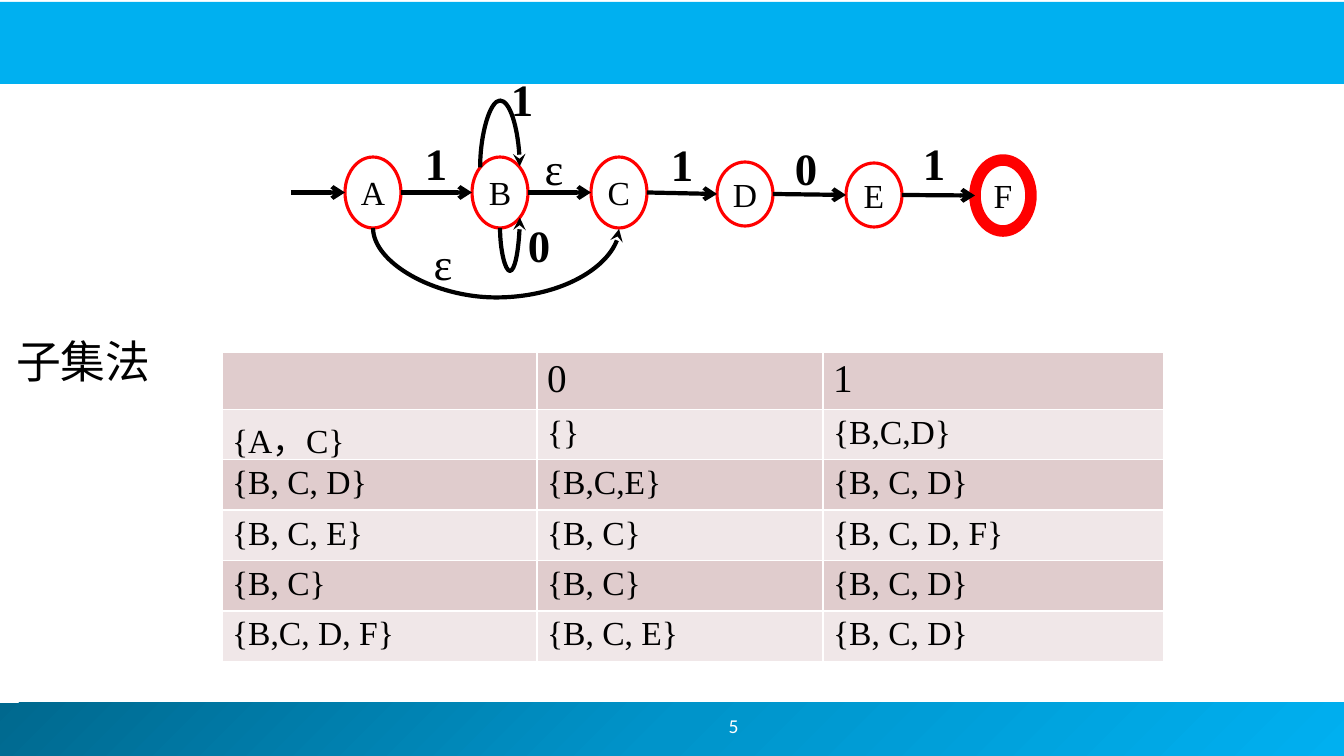
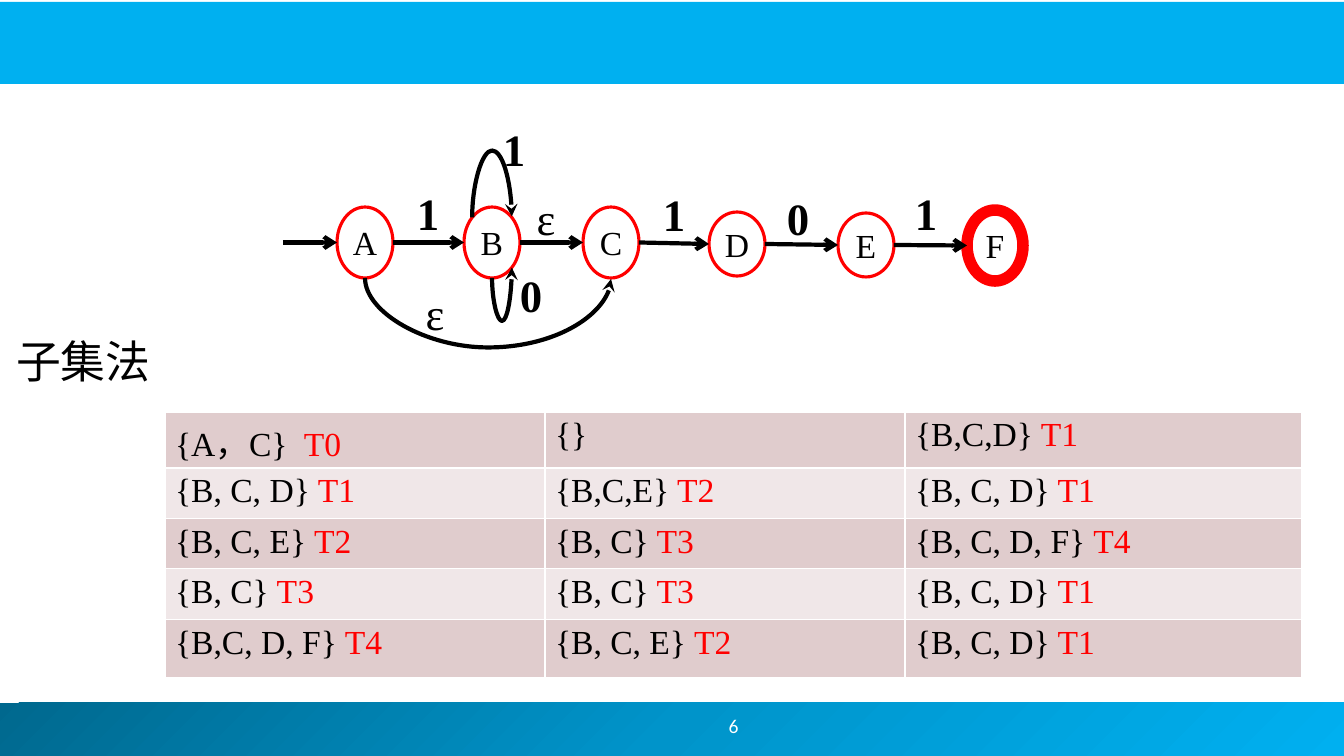
from copy import deepcopy
from math import cos, radians, sin

from lxml import etree
from pptx import Presentation
from pptx.dml.color import RGBColor
from pptx.enum.shapes import MSO_CONNECTOR, MSO_SHAPE
from pptx.enum.text import MSO_ANCHOR, PP_ALIGN
from pptx.oxml.ns import qn
from pptx.util import Emu, Pt

STRAIGHT, CURVE = MSO_CONNECTOR.STRAIGHT, MSO_CONNECTOR.CURVE
RECT, OVAL = MSO_SHAPE.RECTANGLE, MSO_SHAPE.OVAL
LEFT, CENTER = PP_ALIGN.LEFT, PP_ALIGN.CENTER
TOP, MIDDLE = MSO_ANCHOR.TOP, MSO_ANCHOR.MIDDLE

COLORS = {"band": "00B0F0", "band_mid": "0094CA", "band_dark": "00688E",
          "text": "000000", "white": "FFFFFF", "red": "FF0000",
          "row_dark": "E0CCCD", "row_light": "F0E7E8"}
SERIF = "Times New Roman"
TITLE = "子集法"

# Automaton: name, left, top, height, outline width
NODE_WIDTH = 56
NODES = [("A", 345, 157, 71, 2.25), ("B", 472, 157, 71, 2.25),
         ("C", 591, 157, 71, 2.25), ("D", 717, 162, 64, 2.25),
         ("E", 846, 163, 64, 2.25), ("F", 975, 160, 71, 8.25)]
# Ellipse sites run counterclockwise from the top
TOP_LEFT, WEST, BOTTOM, BOTTOM_RIGHT, EAST, TOP_RIGHT = 1, 2, 4, 5, 6, 7
ENTRY_LENGTH = 54
# Curved edges: from, site, to, site, height of the apex
CURVES = [("B", BOTTOM, "B", BOTTOM_RIGHT, 271),
          ("A", BOTTOM, "C", BOTTOM, 298),
          ("B", TOP_LEFT, "B", TOP_RIGHT, 100)]
# Edge labels: text, centre, top
LABELS = [("1", 522, 67), ("0", 539, 213), ("1", 436, 131), ("ε", 554, 136),
          ("1", 682, 132), ("0", 806, 136), ("1", 934, 131), ("ε", 443, 231)]
LABEL_SIZE = (42, 65)

SLIDES = [
    {"number": "5", "shift": (0, 0), "table_at": (222, 352),
     "cols": [315, 286, 341], "rows": [57, 50, 50, 50, 50, 50],
     "header": True,
     "cells": [["", "0", "1"],
               ["{A，C}", "{}", "{B,C,D}"],
               ["{B, C, D}", "{B,C,E}", "{B, C, D}"],
               ["{B, C, E}", "{B, C}", "{B, C, D, F}"],
               ["{B, C}", "{B, C}", "{B, C, D}"],
               ["{B,C, D, F}", "{B, C, E}", "{B, C, D}"]]},
    {"number": "6", "shift": (-8, 50), "table_at": (165, 412),
     "cols": [380, 360, 397], "rows": [56, 50, 50, 50, 58],
     "header": False,
     "cells": [["{A，C}  T0", "{}", "{B,C,D} T1"],
               ["{B, C, D} T1", "{B,C,E} T2", "{B, C, D} T1"],
               ["{B, C, E} T2", "{B, C} T3", "{B, C, D, F} T4"],
               ["{B, C} T3", "{B, C} T3", "{B, C, D} T1"],
               ["{B,C, D, F} T4", "{B, C, E} T2", "{B, C, D} T1"]]},
]


def px(n):
    return Emu(round(n * 914400 / 100.8))


def rgb(name):
    return RGBColor.from_string(COLORS[name])


def set_font(p, size, font=SERIF, color="text", bold=False):
    p.font.name, p.font.size, p.font.bold = font, Pt(size), bold
    p.font.color.rgb = rgb(color)


def write(sp, text, size, align=CENTER, anchor=TOP, wrap=False, **font):
    tf = sp.text_frame
    tf.word_wrap, tf.vertical_anchor = wrap, anchor
    p = tf.paragraphs[0]
    p.text, p.alignment = text, align
    set_font(p, size, **font)


def add_box(shapes, kind, *box):
    sp = shapes.add_shape(kind, *map(px, box))
    sp.shadow.inherit = False
    return sp


# Shared bands, moved from a slide to the master
def add_bands(prs, slide):
    footer = add_box(slide.shapes, RECT, -5, 703, 1350, 53)
    footer.fill.gradient()
    footer.fill.gradient_angle = 315
    gs_list = footer.element.find(".//" + qn("a:gsLst"))
    gs_list.insert(1, deepcopy(gs_list[0]))
    names = ("band_dark", "band_mid", "band")
    for i, (stop, name) in enumerate(zip(footer.fill.gradient_stops, names)):
        stop.position = i / 2
        stop.color.rgb = rgb(name)
    header = add_box(slide.shapes, RECT, -2, 2, 1347, 82)
    header.fill.solid()
    header.fill.fore_color.rgb = rgb("band")
    for sp in (header, footer):
        sp.line.fill.background()
        prs.slide_master.shapes.element.insert(2, sp.element)


# Automaton parts
def add_node(shapes, name, x, y, height, weight):
    sp = add_box(shapes, OVAL, x, y, NODE_WIDTH, height)
    sp.fill.background()
    sp.line.color.rgb = rgb("red")
    sp.line.width = Pt(weight)
    write(sp, name, 24, anchor=MIDDLE)
    return sp


def site_point(sp, site):
    angle = radians(-90 - 45 * site)
    return (round(sp.left + sp.width / 2 * (1 + cos(angle))),
            round(sp.top + sp.height / 2 * (1 + sin(angle))))


def style_arrow(cxn, head):
    cxn.line.color.rgb = rgb("text")
    cxn.line.width = Pt(3)
    sp_pr = cxn.element.spPr
    etree.SubElement(sp_pr.find(qn("a:ln")), qn("a:tailEnd"), type=head)
    etree.SubElement(sp_pr, qn("a:effectLst"))


def glue(cxn, tag, sp, site):
    holder = cxn.element.find(".//" + qn("p:cNvCxnSpPr"))
    etree.SubElement(holder, qn(tag), id=str(sp.shape_id), idx=str(site))


def add_line(shapes, start, end):
    cxn = shapes.add_connector(STRAIGHT, *start, *end)
    style_arrow(cxn, "arrow")
    return cxn


def add_curve(shapes, start, end, apex):
    (x1, y1), (x2, y2) = start, end
    # A turned connector needs some extent between its two ends
    dy = y2 - y1
    if abs(dy) < px(1):
        dy = px(1) if apex > y1 else -px(1)
    w, h = abs(dy), x2 - x1
    x, y = (x1 + x2 - w) // 2, y1 + (dy - h) // 2
    cxn = shapes.add_connector(CURVE, x, y, x + w, y + h)
    xfrm = cxn.element.spPr.find(qn("a:xfrm"))
    xfrm.set("rot", str((270 if dy > 0 else 90) * 60000))
    xfrm.set("flipH", "1")
    if dy < 0:
        xfrm.set("flipV", "1")
    bend = round((apex - y1) / dy * 100000)
    etree.SubElement(cxn.element.find(".//" + qn("a:avLst")), qn("a:gd"),
                     name="adj1", fmla=f"val {bend}")
    style_arrow(cxn, "stealth")
    return cxn


def add_automaton(slide, shift):
    dx, dy = shift
    shapes = slide.shapes.add_group_shape().shapes
    nodes = {name: add_node(shapes, name, x + dx, y + dy, height, weight)
             for name, x, y, height, weight in NODES}

    x, y = site_point(nodes["A"], WEST)
    glue(add_line(shapes, (x - px(ENTRY_LENGTH), y), (x, y)),
         "a:endCxn", nodes["A"], WEST)

    names = list(nodes)
    edges = [(a, EAST, b, WEST, None) for a, b in zip(names, names[1:])]
    for a, site_a, b, site_b, apex in edges + CURVES:
        start, end = site_point(nodes[a], site_a), site_point(nodes[b], site_b)
        if apex is None:
            cxn = add_line(shapes, start, end)
        else:
            cxn = add_curve(shapes, start, end, px(apex + dy))
        glue(cxn, "a:stCxn", nodes[a], site_a)
        glue(cxn, "a:endCxn", nodes[b], site_b)

    width, height = LABEL_SIZE
    for text, center, top in LABELS:
        box = (center - width / 2 + dx, top + dy, width, height)
        write(shapes.add_textbox(*map(px, box)), text, 32, bold=text != "ε")


# Subset table: state sets in black, their tags in red
def add_subset_table(slide, data):
    cols, rows = data["cols"], data["rows"]
    box = (*data["table_at"], sum(cols), sum(rows))
    table = slide.shapes.add_table(len(rows), len(cols),
                                   *map(px, box)).table
    table.first_row = table.horz_banding = False
    for col, width in zip(table.columns, cols):
        col.width = px(width)
    for i, (row, height) in enumerate(zip(table.rows, rows)):
        row.height = px(height)
        for cell, text in zip(row.cells, data["cells"][i]):
            cell.fill.solid()
            cell.fill.fore_color.rgb = rgb("row_light" if i % 2 else "row_dark")
            p = cell.text_frame.paragraphs[0]
            set_font(p, 28 if data["header"] and i == 0 else 24)
            states, brace, tag = text.partition("}")
            if text:
                p.add_run().text = states + brace
            if tag:
                r = p.add_run()
                r.text = tag
                r.font.color.rgb = rgb("red")


def add_title(slide):
    sp = slide.shapes.title
    sp.left, sp.top, sp.width, sp.height = map(px, (6, 329, 156, 65))
    write(sp, TITLE, 32, align=LEFT, font="Noto Sans")


def add_page_number(slide, number):
    sp = slide.shapes.add_textbox(*map(px, (588, 701, 291, 50)))
    write(sp, number, 14, anchor=MIDDLE, wrap=True,
          font="Calibri", color="white")


def main():
    prs = Presentation()
    prs.slide_width, prs.slide_height = px(1344), px(756)
    for i, data in enumerate(SLIDES):
        slide = prs.slides.add_slide(prs.slide_layouts[5])
        if i == 0:
            add_bands(prs, slide)
        add_title(slide)
        add_page_number(slide, data["number"])
        add_subset_table(slide, data)
        add_automaton(slide, data["shift"])
    prs.save("out.pptx")


if __name__ == "__main__":
    main()
